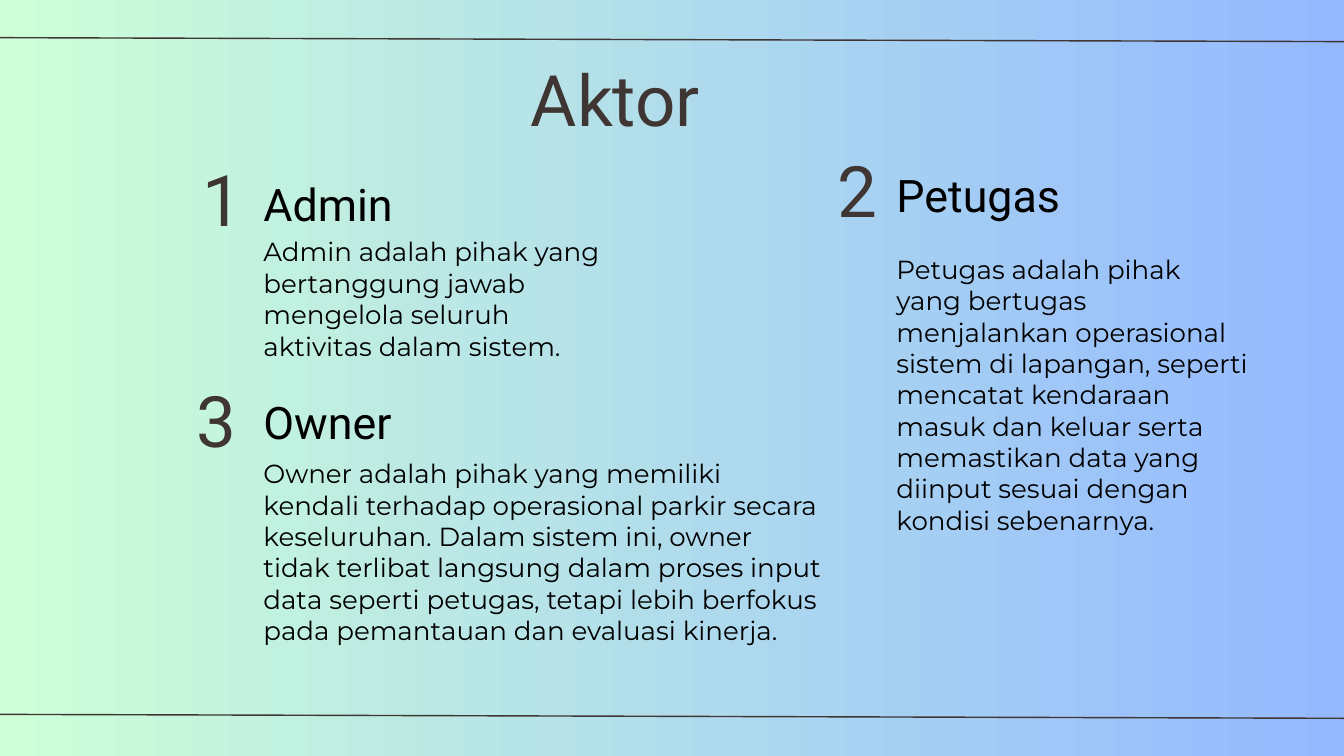
from dataclasses import dataclass
from pptx import Presentation
from pptx.dml.color import RGBColor
from pptx.enum.shapes import MSO_CONNECTOR
from pptx.enum.text import MSO_AUTO_SIZE, PP_ALIGN
from pptx.oxml.ns import qn
from pptx.slide import Slide
from pptx.util import Inches, Pt
from lxml.etree import SubElement


@dataclass(frozen=True)
class Style:
    font: str
    size: int
    color: str
    align: PP_ALIGN = PP_ALIGN.LEFT


@dataclass(frozen=True)
class Theme:
    start: str = "CDFFD8"
    end: str = "94B9FF"
    rule: str = "3F3533"
    weight: float = 1.5
    leading: float = 1.2
    title: Style = Style("Roboto", 76, "3F3533")
    number: Style = Style("Roboto", 76, "3F3533", PP_ALIGN.CENTER)
    name: Style = Style("Roboto", 48, "000000")
    body: Style = Style("Montserrat", 28, "000000")


@dataclass(frozen=True)
class Box:
    left: float
    top: float
    width: float
    height: float


@dataclass(frozen=True)
class Actor:
    number: str
    name: str
    body: str
    digit: Box
    head: Box
    text: Box


THEME = Theme()
WIDTH, HEIGHT = 20, 11.25
LEFT, RIGHT, COLUMN = 3.92, 13.34, 5.24
ACTORS = (
    Actor(
        "1", "Admin",
        "Admin adalah pihak yang bertanggung jawab mengelola seluruh "
        "aktivitas dalam sistem.",
        Box(3.01, 2.32, 0.38, 1.27),
        Box(LEFT, 2.63, COLUMN, 0.67),
        Box(LEFT, 3.51, COLUMN, 1.14),
    ),
    Actor(
        "2", "Petugas",
        "Petugas adalah pihak yang bertugas menjalankan operasional sistem "
        "di lapangan, seperti mencatat kendaraan masuk dan keluar serta "
        "memastikan data yang diinput sesuai dengan kondisi sebenarnya.",
        Box(12.47, 2.18, 0.55, 1.27),
        Box(RIGHT, 2.49, COLUMN, 0.67),
        Box(RIGHT, 3.77, COLUMN, 1.14),
    ),
    Actor(
        "3", "Owner",
        "Owner adalah pihak yang memiliki kendali terhadap operasional "
        "parkir secara keseluruhan. Dalam sistem ini, owner tidak terlibat "
        "langsung dalam proses input data seperti petugas, tetapi lebih "
        "berfokus pada pemantauan dan evaluasi kinerja.",
        Box(2.93, 5.61, 0.57, 1.27),
        Box(LEFT, 5.87, COLUMN, 0.8),
        Box(LEFT, 6.81, 8.32, 1.14),
    ),
)


def paint(slide: Slide) -> None:
    fill = slide.background.fill
    fill.gradient()
    fill.gradient_angle = 0
    for stop, color in zip(fill.gradient_stops, (THEME.start, THEME.end)):
        stop.color.rgb = RGBColor.from_string(color)


def rule(slide: Slide, top: float) -> None:
    over, drop = 0.19, 0.06
    line = slide.shapes.add_connector(
        MSO_CONNECTOR.STRAIGHT,
        Inches(-over), Inches(top), Inches(WIDTH + over), Inches(top + drop),
    )
    line.line.color.rgb = RGBColor.from_string(THEME.rule)
    line.line.width = Pt(THEME.weight)
    SubElement(line._element.spPr, qn("a:effectLst"))


def write(slide: Slide, text: str, box: Box, style: Style) -> None:
    shape = slide.shapes.add_textbox(
        Inches(box.left), Inches(box.top), Inches(box.width), Inches(box.height)
    )
    frame = shape.text_frame
    frame.margin_left = frame.margin_right = 0
    frame.margin_top = frame.margin_bottom = 0
    frame.word_wrap = True
    frame.auto_size = MSO_AUTO_SIZE.SHAPE_TO_FIT_TEXT
    para = frame.paragraphs[0]
    para.text = text
    para.alignment = style.align
    para.line_spacing = Pt(style.size * THEME.leading)
    para.font.name = style.font
    para.font.size = Pt(style.size)
    para.font.color.rgb = RGBColor.from_string(style.color)


def main() -> None:
    """Build the slide that presents the three actors of the system."""
    deck = Presentation()
    deck.slide_width, deck.slide_height = Inches(WIDTH), Inches(HEIGHT)
    slide = deck.slides.add_slide(deck.slide_layouts[6])
    paint(slide)
    for top in (0.56, 10.63):
        rule(slide, top)
    write(slide, "Aktor", Box(7.9, 0.82, 7.64, 1.06), THEME.title)
    for actor in ACTORS:
        write(slide, actor.number, actor.digit, THEME.number)
        write(slide, actor.name, actor.head, THEME.name)
        write(slide, actor.body, actor.text, THEME.body)
    deck.save("out.pptx")


if __name__ == "__main__":
    main()
